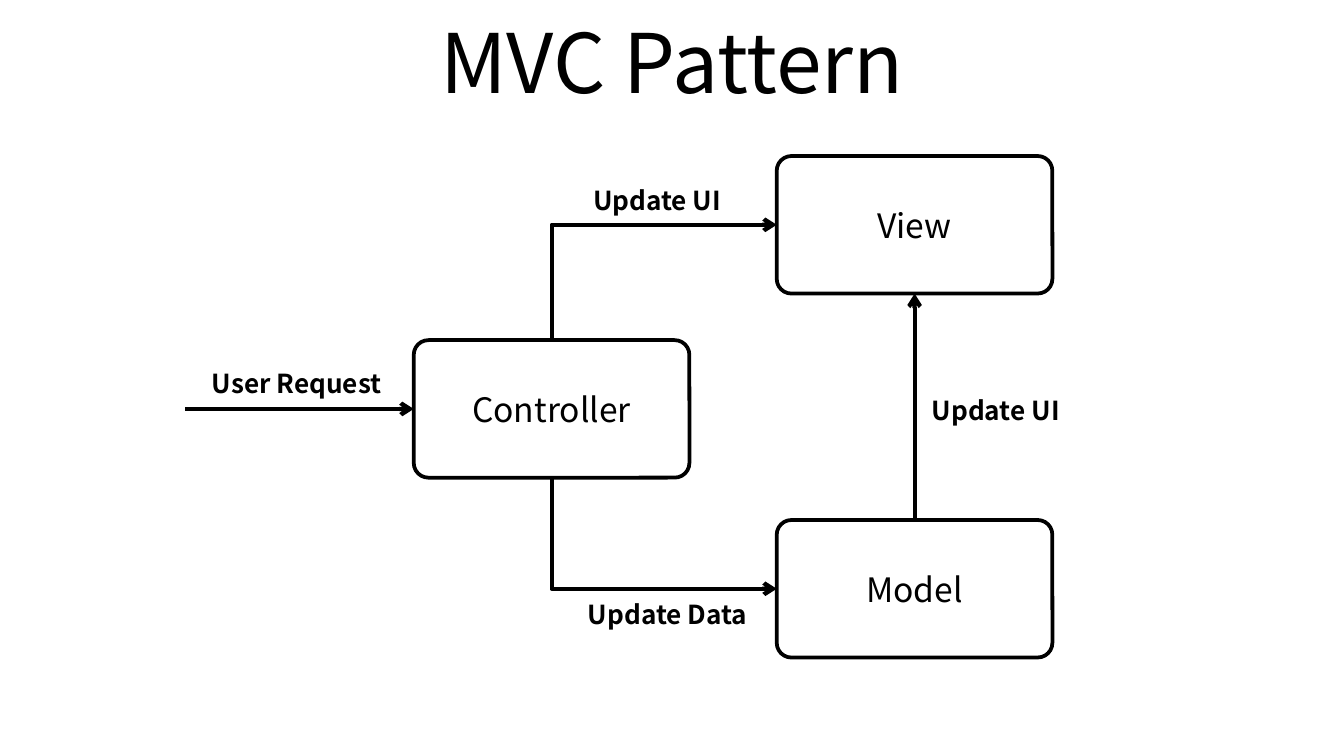
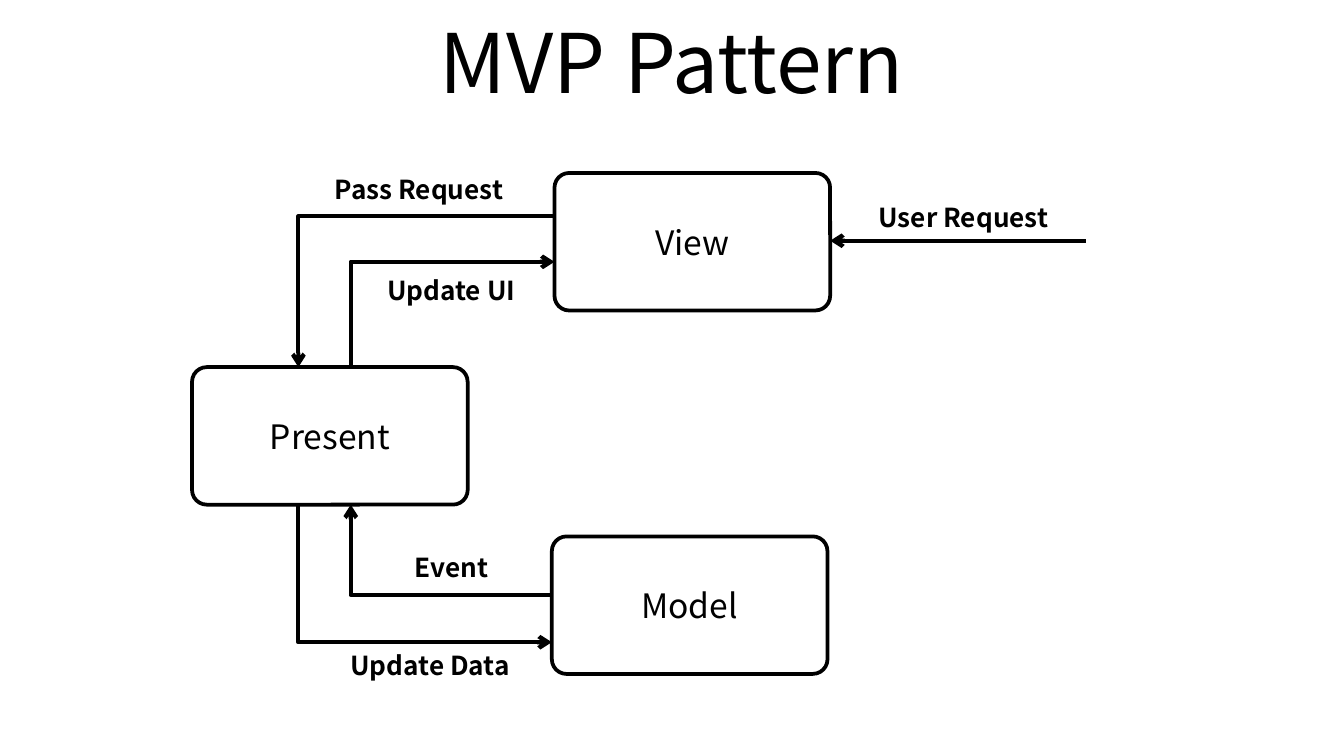
from dataclasses import dataclass

from lxml.etree import SubElement
from pptx import Presentation
from pptx.dml.color import RGBColor as RGB
from pptx.enum.shapes import MSO_CONNECTOR as LINE, MSO_SHAPE as SHAPE
from pptx.enum.text import MSO_ANCHOR as ANCHOR, PP_ALIGN as ALIGN
from pptx.oxml.ns import qn
from pptx.util import Cm, Pt


@dataclass(frozen=True)
class Theme:
    """Colours, type sizes and line widths shared by the slides."""
    font: str = "Noto Sans CJK KR"
    ink: RGB = RGB(0, 0, 0)
    paper: RGB = RGB(255, 255, 255)
    title: int = 44
    node: int = 18
    label: int = 14
    outline: float = 2
    arrow: float = 2.25


@dataclass(frozen=True)
class Box:
    """A rectangle in centimetres."""
    x: float
    y: float
    w: float
    h: float

    @property
    def right(self):
        """Return the right edge."""
        return self.x + self.w

    @property
    def bottom(self):
        """Return the bottom edge."""
        return self.y + self.h

    @property
    def cx(self):
        """Return the horizontal centre."""
        return self.x + self.w / 2

    @property
    def cy(self):
        """Return the vertical centre."""
        return self.y + self.h / 2

    def emu(self):
        """Return left, top, width and height as lengths."""
        return Cm(self.x), Cm(self.y), Cm(self.w), Cm(self.h)


THEME = Theme()
SLIDE = Box(0, 0, 25.4, 14.29)
TITLE = Box(1.27, -0.05, 22.86, 2.39)
NODE_W, NODE_H = 5.21, 2.6
LABEL_W, LABEL_H = 5.8, 0.86


def write(s, text, size, bold=False):
    """Write one centred line in the shape."""
    tf = s.text_frame
    tf.text = text
    tf.word_wrap = True
    tf.vertical_anchor = ANCHOR.MIDDLE
    p = tf.paragraphs[0]
    p.alignment = ALIGN.CENTER
    font = p.runs[0].font
    font.name, font.size, font.bold = THEME.font, Pt(size), bold
    font.color.rgb = THEME.ink


def add_node(slide, area, text, x, y):
    """Draw a rounded node at an offset in the area and return its box."""
    box = Box(area.x + x, area.y + y, NODE_W, NODE_H)
    s = slide.shapes.add_shape(SHAPE.ROUNDED_RECTANGLE, *box.emu())
    s.adjustments[0] = 0.107
    s.shadow.inherit = False
    s.fill.solid()
    s.fill.fore_color.rgb = THEME.paper
    s.line.color.rgb = THEME.ink
    s.line.width = Pt(THEME.outline)
    write(s, text, THEME.node)
    return box


def add_label(slide, area, text, cx, cy):
    """Write an arrow label centred on an offset in the area."""
    box = Box(area.x + cx - LABEL_W / 2, area.y + cy - LABEL_H / 2, LABEL_W, LABEL_H)
    write(slide.shapes.add_textbox(*box.emu()), text, THEME.label, bold=True)


def add_arrow(slide, *points):
    """Draw an arrow through the points, ending at the last one."""
    start, *rest = [(Cm(x), Cm(y)) for x, y in points]
    if len(rest) == 1:
        s = slide.shapes.add_connector(LINE.STRAIGHT, *start, *rest[0])
    else:
        builder = slide.shapes.build_freeform(*start)
        builder.add_line_segments(rest, close=False)
        s = builder.convert_to_shape()
        s.fill.background()
    s.line.color.rgb = THEME.ink
    s.line.width = Pt(THEME.arrow)
    sp_pr = s.element.spPr
    SubElement(sp_pr.find(qn("a:ln")), qn("a:tailEnd"), type="arrow")
    SubElement(sp_pr, qn("a:effectLst"))


def draw_mvc(slide, area):
    """Draw the controller, view and model with their messages."""
    model = add_node(slide, area, "Model", 11.18, 6.88)
    control = add_node(slide, area, "Controller", 4.32, 3.48)
    view = add_node(slide, area, "View", 11.18, 0)

    add_arrow(slide, (area.x, control.cy), (control.x, control.cy))
    add_arrow(slide, (control.cx, control.y), (control.cx, view.cy), (view.x, view.cy))
    add_arrow(slide, (control.cx, control.bottom), (control.cx, model.cy), (model.x, model.cy))
    add_arrow(slide, (model.cx, model.y), (view.cx, view.bottom))

    for text, cx, cy in (
        ("User Request", 2.11, 4.29),
        ("Update UI", 8.92, 0.83),
        ("Update Data", 9.12, 8.66),
        ("Update UI", 15.32, 4.8),
    ):
        add_label(slide, area, text, cx, cy)


def draw_mvp(slide, area):
    """Draw the presenter, view and model with their messages."""
    model = add_node(slide, area, "Model", 6.8, 6.87)
    present = add_node(slide, area, "Present", 0, 3.67)
    view = add_node(slide, area, "View", 6.85, 0)
    outer, inner = present.x + 2.01, present.x + 3
    request, passing, update = view.y + 1.28, view.y + 0.82, view.y + 1.68
    event, data = model.y + 1.11, model.y + 2

    add_arrow(slide, (area.right, request), (view.right, request))
    add_arrow(slide, (view.x, passing), (outer, passing), (outer, present.y))
    add_arrow(slide, (inner, present.y), (inner, update), (view.x, update))
    add_arrow(slide, (model.x, event), (inner, event), (inner, present.bottom))
    add_arrow(slide, (outer, present.bottom), (outer, data), (model.x, data))

    for text, cx, cy in (
        ("User Request", 14.58, 0.84),
        ("Pass Request", 4.29, 0.31),
        ("Update UI", 4.9, 2.22),
        ("Event", 4.9, 7.45),
        ("Update Data", 4.5, 9.3),
    ):
        add_label(slide, area, text, cx, cy)


def main():
    """Build the two pattern slides."""
    prs = Presentation()
    prs.slide_width, prs.slide_height = Cm(SLIDE.w), Cm(SLIDE.h)
    layout = prs.slide_layouts.get_by_name("Title Only")
    title = layout.placeholders[0]
    title.left, title.top, title.width, title.height = TITLE.emu()

    for text, draw, area in (
        ("MVC Pattern", draw_mvc, Box(3.5, 2.95, 16.39, 9.48)),
        ("MVP Pattern", draw_mvp, Box(3.63, 3.27, 16.89, 9.47)),
    ):
        slide = prs.slides.add_slide(layout)
        write(slide.shapes.title, text, THEME.title)
        draw(slide, area)

    prs.save("out.pptx")


if __name__ == "__main__":
    main()
